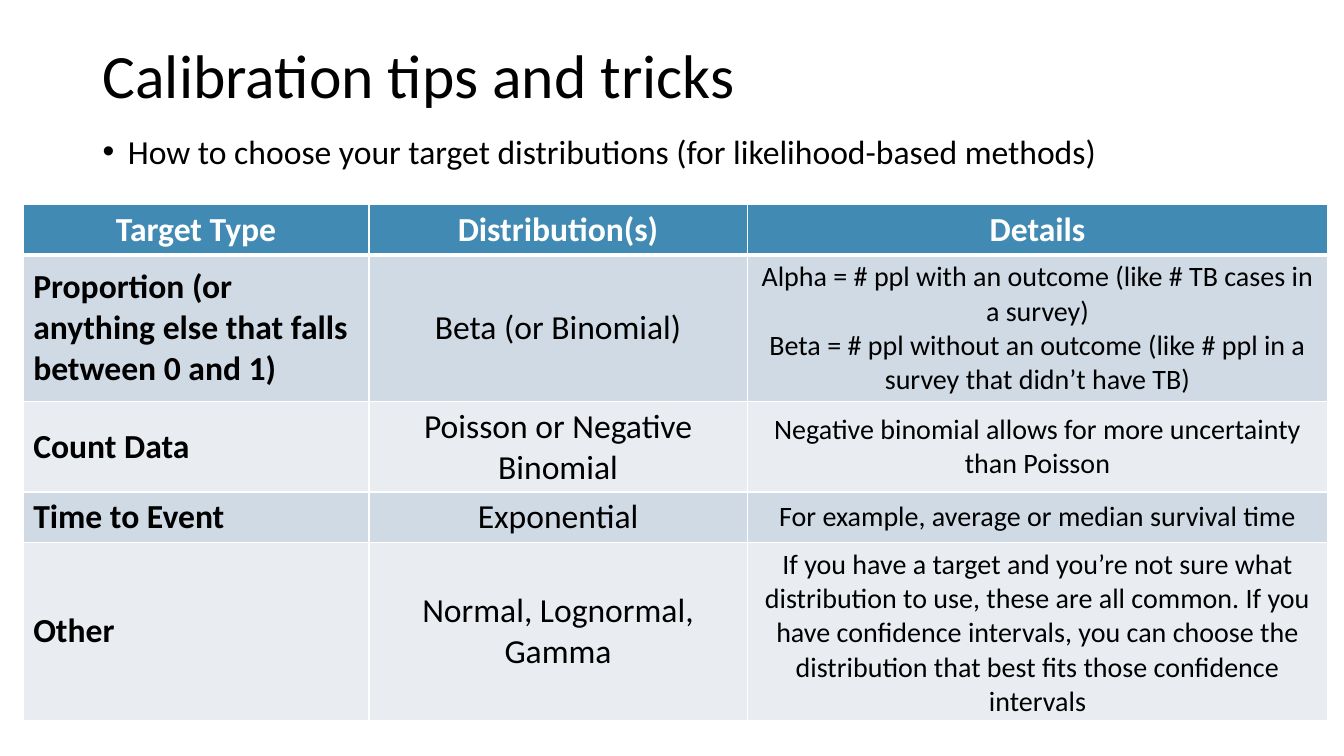
"""Build the slide on choosing target distributions for calibration."""
from dataclasses import dataclass

from lxml.etree import SubElement
from pptx import Presentation
from pptx.dml.color import RGBColor
from pptx.enum.text import MSO_ANCHOR as Anchor, PP_ALIGN as Align
from pptx.oxml.ns import qn
from pptx.util import Inches, Pt

BLACK = RGBColor(0x00, 0x00, 0x00)
WHITE = RGBColor(0xFF, 0xFF, 0xFF)
BLUE = RGBColor(0x41, 0x8A, 0xB3)
BANDS = (RGBColor(0xCF, 0xDA, 0xE5), RGBColor(0xE9, 0xED, 0xF2))

FONT = "Calibri"
HEADERS = ("Target Type", "Distribution(s)", "Details")
COL_WIDTHS = (3.43, 3.75, 5.76)
HEADER_HEIGHT = 0.5


@dataclass(frozen=True)
class Target:
    """A kind of calibration target and its row height in inches."""
    kind: str
    distribution: str
    details: str
    height: float


TARGETS = (
    Target("Proportion (or anything else that falls between 0 and 1)",
           "Beta (or Binomial)",
           "Alpha = # ppl with an outcome (like # TB cases in a survey)\n"
           "Beta = # ppl without an outcome (like # ppl in a survey that didn’t have TB)",
           1.45),
    Target("Count Data", "Poisson or Negative Binomial",
           "Negative binomial allows for more uncertainty than Poisson", 0.9),
    Target("Time to Event", "Exponential",
           "For example, average or median survival time", 0.5),
    Target("Other", "Normal, Lognormal, Gamma",
           "If you have a target and you’re not sure what distribution to use, "
           "these are all common. If you have confidence intervals, you can choose "
           "the distribution that best fits those confidence intervals", 1.75),
)


def write(tf, text: str, *, size: float = 24, color: RGBColor = BLACK,
          bold: bool = False, align: Align = Align.LEFT, spacing: float = 1.0) -> None:
    """Fill a text frame with one paragraph per line of text."""
    tf.word_wrap = True
    for i, line in enumerate(text.split("\n")):
        p = tf.add_paragraph() if i else tf.paragraphs[0]
        p.alignment, p.line_spacing = align, spacing
        r = p.add_run()
        r.text = line
        r.font.name, r.font.size, r.font.bold = FONT, Pt(size), bold
        r.font.color.rgb = color


def add_text(s, box: tuple[float, float, float, float], text: str, **fmt):
    """Add a text box and return its text frame."""
    tf = s.shapes.add_textbox(*map(Inches, box)).text_frame
    write(tf, text, spacing=0.9, **fmt)
    return tf


def add_bullet(p) -> None:
    """Give a paragraph a hanging round bullet."""
    p.space_before = Pt(10)
    pPr = p._p.get_or_add_pPr()
    pPr.set("marL", str(Inches(0.25)))
    pPr.set("indent", str(-Inches(0.25)))
    SubElement(pPr, qn("a:buFont"), typeface="Arial")
    SubElement(pPr, qn("a:buChar"), char="•")


def fill_cell(cell, text: str, fill: RGBColor, *, top: float = 1,
              bottom: float = 1, **fmt) -> None:
    """Set a cell's text, white borders and fill."""
    cell.vertical_anchor = Anchor.MIDDLE
    write(cell.text_frame, text, **fmt)
    tcPr = cell._tc.get_or_add_tcPr()
    for side, width in (("L", 1), ("R", 1), ("T", top), ("B", bottom)):
        ln = SubElement(tcPr, qn(f"a:ln{side}"), w=str(Pt(width)))
        SubElement(SubElement(ln, qn("a:solidFill")), qn("a:srgbClr"), val=str(WHITE))
    cell.fill.solid()
    cell.fill.fore_color.rgb = fill


def add_targets(s) -> None:
    """Add the table of target types and distributions."""
    heights = (HEADER_HEIGHT, *(t.height for t in TARGETS))
    table = s.shapes.add_table(
        len(heights), len(HEADERS), Inches(0.23), Inches(2.03),
        Inches(sum(COL_WIDTHS)), Inches(sum(heights))).table
    for col, width in zip(table.columns, COL_WIDTHS):
        col.width = Inches(width)
    for row, height in zip(table.rows, heights):
        row.height = Inches(height)
    for j, header in enumerate(HEADERS):
        fill_cell(table.cell(0, j), header, BLUE, bottom=3,
                  color=WHITE, bold=True, align=Align.CENTER)
    for i, t in enumerate(TARGETS, start=1):
        fill = BANDS[(i - 1) % 2]
        top = 3 if i == 1 else 1
        fill_cell(table.cell(i, 0), t.kind, fill, top=top, bold=True)
        fill_cell(table.cell(i, 1), t.distribution, fill, top=top, align=Align.CENTER)
        fill_cell(table.cell(i, 2), t.details, fill, top=top, size=20, align=Align.CENTER)


def main() -> None:
    """Build and save the presentation."""
    prs = Presentation()
    prs.slide_width, prs.slide_height = Inches(13.33), Inches(7.5)
    s = prs.slides.add_slide(prs.slide_layouts[6])
    add_text(s, (0.92, 0.4, 11.5, 0.8), "Calibration tips and tricks", size=44)
    tf = add_text(s, (0.92, 1.29, 12.19, 0.6),
                  "How to choose your target distributions (for likelihood-based methods)")
    add_bullet(tf.paragraphs[0])
    add_targets(s)
    prs.save("out.pptx")


if __name__ == "__main__":
    main()
